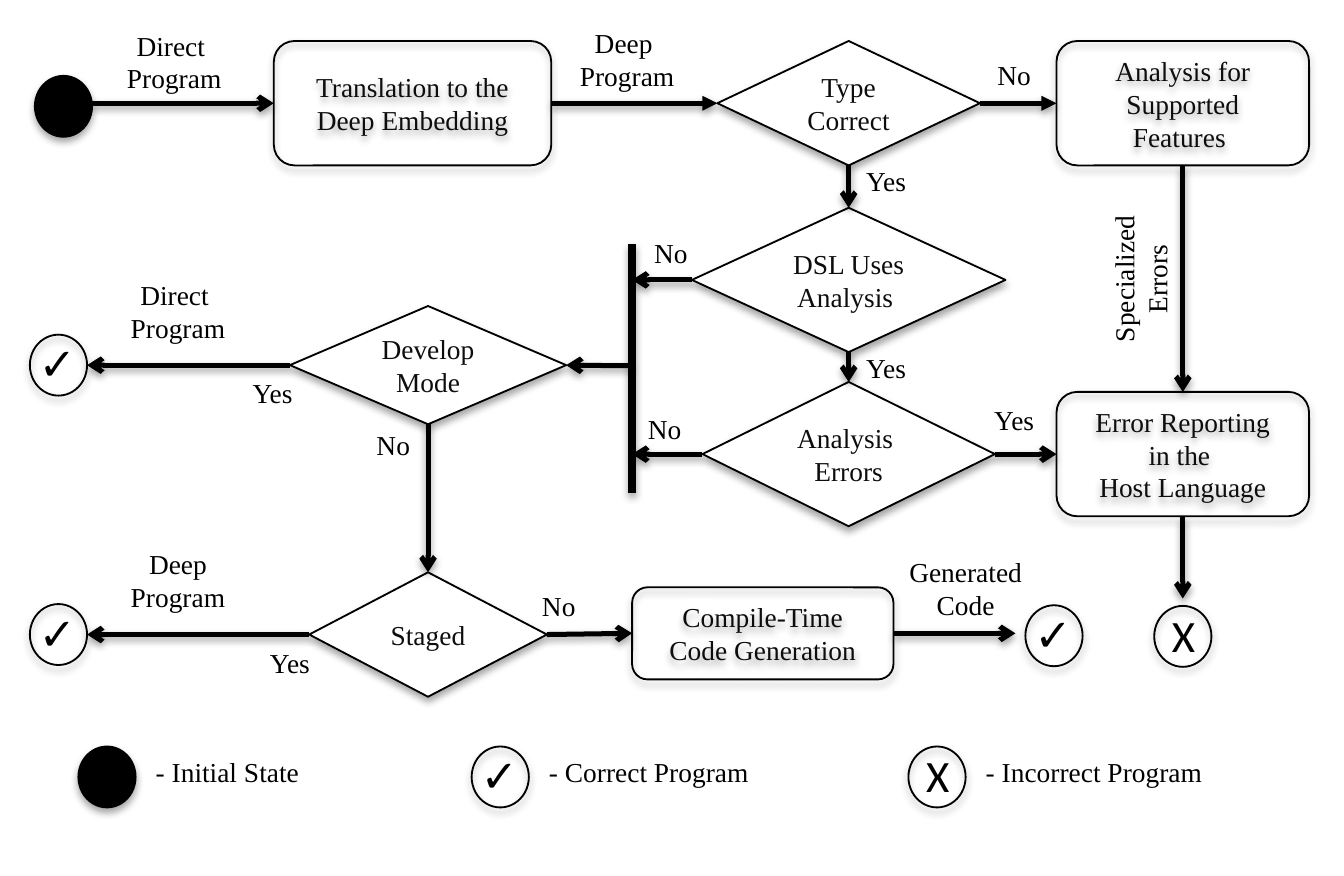
from dataclasses import dataclass

from lxml.etree import SubElement
from pptx import Presentation
from pptx.dml.color import RGBColor
from pptx.enum.shapes import MSO_CONNECTOR, MSO_SHAPE
from pptx.enum.text import MSO_ANCHOR, MSO_AUTO_SIZE, PP_ALIGN
from pptx.oxml.ns import qn
from pptx.util import Pt

TOP, LEFT, BOTTOM, RIGHT = range(4)
MARK_W, MARK_H = 23, 24.5
LABEL_W = 70.5
NODE_H = 50


@dataclass(frozen=True)
class Theme:
    ink: RGBColor = RGBColor(0x00, 0x00, 0x00)
    node_ink: RGBColor = RGBColor(0x0D, 0x0D, 0x0D)
    paper: RGBColor = RGBColor(0xFF, 0xFF, 0xFF)
    font: str = "Times New Roman"
    mark_font: str = "Calibri"
    size: float = 11
    mark_size: float = 18
    outline: float = 0.75
    arrow: float = 2
    bar: float = 3


@dataclass(frozen=True)
class Box:
    x: float
    y: float
    w: float
    h: float


theme = Theme()


def add_shadow(sp, distance, alpha):
    spPr = sp._element.spPr
    effects = spPr.find(qn("a:effectLst"))
    if effects is None:
        effects = SubElement(spPr, qn("a:effectLst"))
    shadow = SubElement(effects, qn("a:outerShdw"), blurRad=str(Pt(3.1)),
                        dist=str(Pt(distance)), dir="5400000", rotWithShape="0")
    color = SubElement(shadow, qn("a:srgbClr"), val=str(theme.ink))
    SubElement(color, qn("a:alpha"), val=str(alpha * 1000))


def write(tf, text, color, align=PP_ALIGN.CENTER, font=theme.font, size=theme.size):
    for i, line in enumerate(text.split("\n")):
        p = tf.add_paragraph() if i else tf.paragraphs[0]
        p.text = line
        p.alignment = align
        p.font.name = font
        p.font.size = Pt(size)
        p.font.color.rgb = color


def add_node(shapes, kind, x, y, w, h, text="", fill=None):
    sp = shapes.add_shape(kind, Pt(x), Pt(y), Pt(w), Pt(h))
    sp.shadow.inherit = False
    if fill is None:
        sp.fill.background()
    else:
        sp.fill.solid()
        sp.fill.fore_color.rgb = fill
    sp.line.color.rgb = theme.ink
    sp.line.width = Pt(theme.outline)
    add_shadow(sp, 1.8, 35)
    if text:
        tf = sp.text_frame
        tf.word_wrap = True
        tf.vertical_anchor = MSO_ANCHOR.MIDDLE
        write(tf, text, theme.node_ink)
    return sp


def add_process(s, x, y, w, h, text):
    return add_node(s.shapes, MSO_SHAPE.ROUNDED_RECTANGLE, x, y, w, h, text)


def add_decision(s, cx, y, w, h, text):
    return add_node(s.shapes, MSO_SHAPE.DIAMOND, cx - w / 2, y, w, h, text, theme.paper)


def add_text(shapes, text, x, y, w, h, wrap=True, **style):
    sp = shapes.add_textbox(Pt(x), Pt(y), Pt(w), Pt(h))
    tf = sp.text_frame
    tf.word_wrap = wrap
    tf.auto_size = MSO_AUTO_SIZE.SHAPE_TO_FIT_TEXT
    write(tf, text, theme.ink, **style)
    return sp


def add_label(s, text, cx, y, w=LABEL_W):
    h = 34 if "\n" in text else 21
    return add_text(s.shapes, text, cx - w / 2, y, w, h)


def add_mark(s, x, y, sign):
    if not sign:
        return add_node(s.shapes, MSO_SHAPE.OVAL, x, y, MARK_W, MARK_H, fill=theme.ink)
    group = s.shapes.add_group_shape()
    add_node(group.shapes, MSO_SHAPE.OVAL, x, y, MARK_W, MARK_H)
    overhang = 3.5 if sign == "✓" else 0
    add_text(group.shapes, sign, x - overhang, y - 3, MARK_W + 2 * overhang, 29, wrap=False,
             align=PP_ALIGN.LEFT, font=theme.mark_font, size=theme.mark_size)
    return group


def add_link(s, start, end, head="arrow", width=theme.arrow):
    points = [(0, 0) if hasattr(a, "shape_type") else (a, b) for a, b in (start, end)]
    sp = s.shapes.add_connector(MSO_CONNECTOR.STRAIGHT, *(Pt(v) for point in points for v in point))
    if hasattr(start[0], "shape_type"):
        sp.begin_connect(*start)
    if hasattr(end[0], "shape_type"):
        sp.end_connect(*end)
    sp.line.color.rgb = theme.ink
    sp.line.width = Pt(width)
    if head:
        SubElement(sp.line._get_or_add_ln(), qn("a:tailEnd"), type=head)
    add_shadow(sp, 1.6, 38)


def draw_entry(s, box):
    add_mark(s, box.x, box.y + 14, "")
    translation = add_process(s, box.x + box.w - 111.5, box.y, 111.5, box.h,
                              "Translation to the Deep Embedding")
    add_link(s, (box.x + MARK_W, box.y + box.h / 2), (translation, LEFT))
    add_label(s, "Direct \nProgram", box.x + 56, box.y - 8.5)
    return translation


def draw_checks(s, box):
    cx = box.x + box.w / 2
    typed = add_decision(s, cx, box.y, 105.5, NODE_H, "Type\nCorrect")
    uses = add_decision(s, cx, box.y + 67, box.w, 58, "DSL Uses\nAnalysis ")
    errors = add_decision(s, cx, box.y + box.h - 58, 117.5, 58, "Analysis \nErrors")
    for upper, lower, dy in ((typed, uses, 46), (uses, errors, 121)):
        add_link(s, (upper, BOTTOM), (lower, TOP))
        add_label(s, "Yes", cx + 15, box.y + dy)
    return typed, uses, errors


def draw_errors(s, box):
    cx = box.x + box.w / 2
    analysis = add_process(s, box.x, box.y, box.w, NODE_H, "Analysis for Supported\nFeatures ")
    report = add_process(s, box.x, box.y + 141, box.w, NODE_H,
                         "Error Reporting\nin the \nHost Language")
    mark_y = box.y + box.h - MARK_H
    add_mark(s, cx - MARK_W / 2, mark_y, "X")
    add_link(s, (analysis, BOTTOM), (report, TOP))
    add_link(s, (report, BOTTOM), (cx, mark_y - 3))
    label = add_text(s.shapes, "Specialized Errors", cx - 17 - LABEL_W / 2, box.y + 78.5, LABEL_W, 34)
    label.rotation = 270
    return analysis, report


def draw_modes(s, box):
    cx = box.x + 160
    develop = add_decision(s, cx, box.y, 111, 47.5, "Develop\nMode")
    staged = add_decision(s, cx, box.y + box.h - NODE_H, 95.5, NODE_H, "Staged")
    outcomes = ((develop, box.y + 23.75, "Direct \nProgram", 97.5),
                (staged, box.y + box.h - NODE_H / 2, "Deep\nProgram", 104.5))
    for decision, cy, result, yes_x in outcomes:
        add_mark(s, box.x, cy - MARK_H / 2, "✓")
        add_link(s, (decision, LEFT), (box.x + MARK_W, cy))
        add_label(s, result, box.x + 59.5, cy - 38.5)
        add_label(s, "Yes", box.x + yes_x, cy + 1)
    add_link(s, (develop, BOTTOM), (staged, TOP))
    add_label(s, "No", cx - 14, box.y + 45.5)
    return develop, staged


def draw_generation(s, box):
    cy = box.y + box.h / 2
    mark_x = box.x + box.w - MARK_W
    compiler = add_process(s, box.x, box.y, 105, box.h, "Compile-Time Code Generation")
    add_mark(s, mark_x, cy - MARK_H / 2 + 1, "✓")
    add_link(s, (compiler, RIGHT), (mark_x - 4, cy))
    add_label(s, "Generated\nCode", box.x + 134, box.y - 16.5)
    return compiler


def draw_merge(s, box, uses, errors, develop):
    bar_x = box.x + box.w / 2
    add_link(s, (bar_x, box.y), (bar_x, box.y + box.h), None, theme.bar)
    for decision, dy, label_dx, label_dy in ((uses, 14.5, 15.5, -6.5), (errors, 84.5, 13, 64)):
        add_link(s, (decision, LEFT), (bar_x, box.y + dy))
        add_label(s, "No", bar_x + label_dx, box.y + label_dy)
    add_link(s, (bar_x, box.y + 49), (develop, RIGHT))


def draw_legend(s, box):
    entries = ((0, "", "- Initial State"), (158, "✓", "- Correct Program"),
               (333.5, "X", "- Incorrect Program"))
    for dx, sign, meaning in entries:
        add_mark(s, box.x + dx, box.y, sign)
        add_text(s.shapes, meaning, box.x + dx + 24, box.y, 138, 21, align=PP_ALIGN.LEFT)


def main():
    prs = Presentation()
    prs.slide_width, prs.slide_height = Pt(540), Pt(352)
    s = prs.slides.add_slide(prs.slide_layouts[6])
    translation = draw_entry(s, Box(14, 16.5, 207.5, NODE_H))
    typed, uses, errors = draw_checks(s, Box(278, 16.5, 126, 195))
    analysis, report = draw_errors(s, Box(424.5, 16.5, 101.5, 251.5))
    develop, staged = draw_modes(s, Box(12, 123, 216, 157))
    compiler = draw_generation(s, Box(254, 236, 181, 37))
    draw_merge(s, Box(228, 98, 52, 100), uses, errors, develop)
    for start, end, head, text, cx, y in (
            (translation, typed, "triangle", "Deep \nProgram", 252, 7),
            (typed, analysis, "triangle", "No", 407.5, 20),
            (errors, report, "arrow", "Yes", 407.5, 158.5),
            (staged, compiler, "arrow", "No", 224.5, 233)):
        add_link(s, (start, RIGHT), (end, LEFT), head)
        add_label(s, text, cx, y)
    draw_legend(s, Box(31.5, 300, 480, MARK_H))
    prs.save("out.pptx")


if __name__ == "__main__":
    main()
